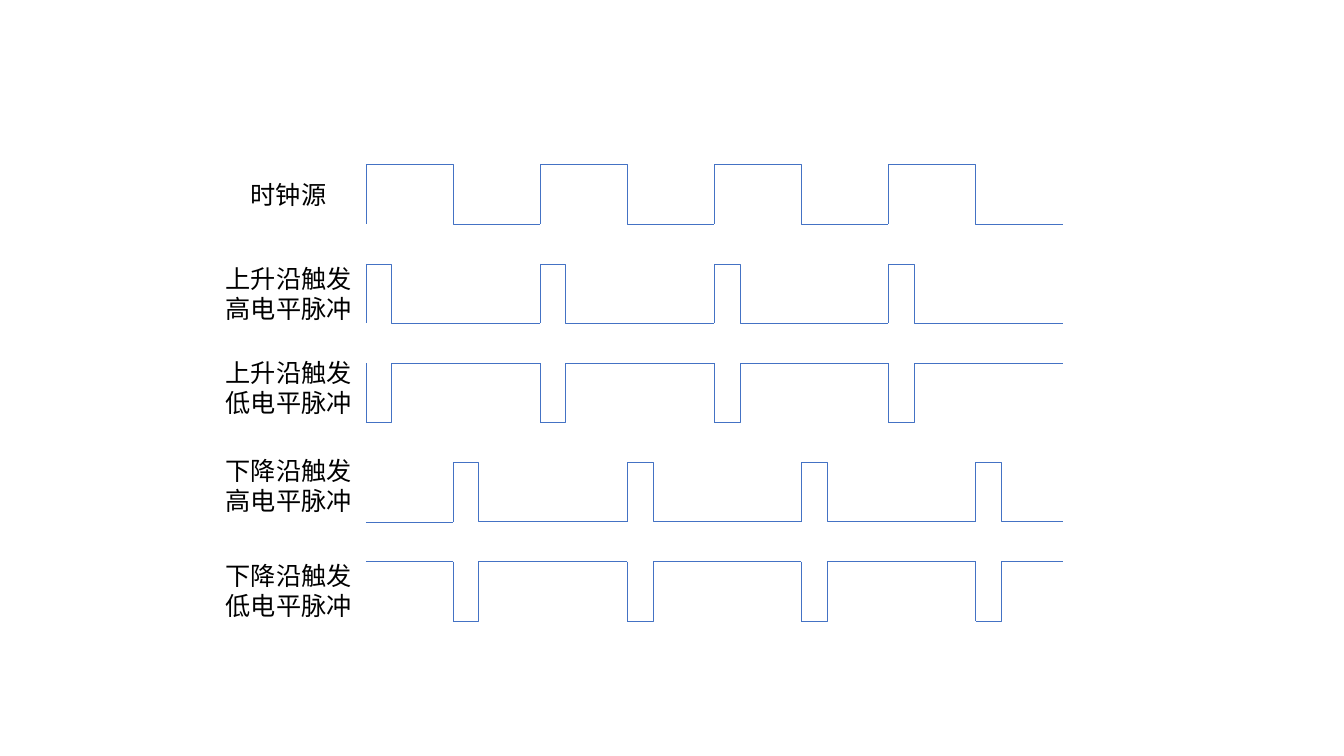
from lxml.etree import SubElement
from pptx import Presentation
from pptx.dml.color import RGBColor
from pptx.enum.shapes import MSO_CONNECTOR
from pptx.enum.text import MSO_AUTO_SIZE
from pptx.oxml.ns import qn
from pptx.util import Cm, Pt

BLUE = RGBColor(0x44, 0x72, 0xC4)
BLACK = RGBColor(0, 0, 0)
FONT = "Noto Sans CJK SC"

START = 9.22
PERIOD = 4.39
CYCLES = 4
END = START + CYCLES * PERIOD
HALF = PERIOD / 2
PULSE = 0.65
HEIGHT = 1.5
FIRST_TOP = 4.15
PITCH = 2.5
LABEL_CENTER = 7.29

SIGNALS = [
    ("时钟源", 4.4, 2.44, 1.02, 0, HALF, True),
    ("上升沿触发\n高电平脉冲", 6.5, 3.7, 1.8, 0, PULSE, True),
    ("上升沿触发\n低电平脉冲", 8.87, 3.7, 1.8, 0, PULSE, False),
    ("下降沿触发\n高电平脉冲", 11.35, 3.7, 1.8, HALF, PULSE, True),
    ("下降沿触发\n低电平脉冲", 14.0, 3.7, 1.8, HALF, PULSE, False),
]


class TimingSlide:
    def __init__(self, presentation):
        self.slide = presentation.slides.add_slide(presentation.slide_layouts[6])

    def connector(self, kind, x1, y1, x2, y2):
        connector = self.slide.shapes.add_connector(kind, Cm(x1), Cm(y1), Cm(x2), Cm(y2))
        connector.line.color.rgb = BLUE
        connector.line.width = Pt(0.5)
        SubElement(connector._element.spPr, qn("a:effectLst"))
        return connector

    def line(self, x1, y1, x2, y2):
        self.connector(MSO_CONNECTOR.STRAIGHT, x1, y1, x2, y2)

    def step(self, x1, y1, x2, y2, bend):
        connector = self.connector(MSO_CONNECTOR.ELBOW, x1, y1, x2, y2)
        geometry = connector._element.spPr.find(qn("a:prstGeom"))
        adjustments = geometry.find(qn("a:avLst"))
        if adjustments is None:
            adjustments = SubElement(geometry, qn("a:avLst"))
        ratio = round(bend / (x2 - x1) * 100000)
        SubElement(adjustments, qn("a:gd"), name="adj1", fmla=f"val {ratio}")

    def wave(self, top, delay, width, high):
        bottom = top + HEIGHT
        active, idle = (top, bottom) if high else (bottom, top)
        if delay:
            self.line(START, idle, START + delay, idle)
        for cycle in range(CYCLES):
            edge = START + delay + cycle * PERIOD
            self.line(edge, top, edge, bottom)
            self.step(edge, active, min(edge + PERIOD, END), idle, width)

    def label(self, text, top, width, height):
        left = LABEL_CENTER - width / 2
        shape = self.slide.shapes.add_textbox(Cm(left), Cm(top), Cm(width), Cm(height))
        text_frame = shape.text_frame
        text_frame.text = text
        text_frame.word_wrap = False
        text_frame.auto_size = MSO_AUTO_SIZE.SHAPE_TO_FIT_TEXT
        for paragraph in text_frame.paragraphs:
            for run in paragraph.runs:
                run.font.name = FONT
                run.font.size = Pt(18)
                run.font.color.rgb = BLACK
                SubElement(run._r.get_or_add_rPr(), qn("a:ea"), typeface=FONT)


presentation = Presentation()
presentation.slide_width = Cm(33.87)
presentation.slide_height = Cm(19.05)
timing = TimingSlide(presentation)
for row, (text, label_top, label_width, label_height, delay, width, high) in enumerate(SIGNALS):
    timing.wave(FIRST_TOP + row * PITCH, delay, width, high)
    timing.label(text, label_top, label_width, label_height)
presentation.save("out.pptx")
